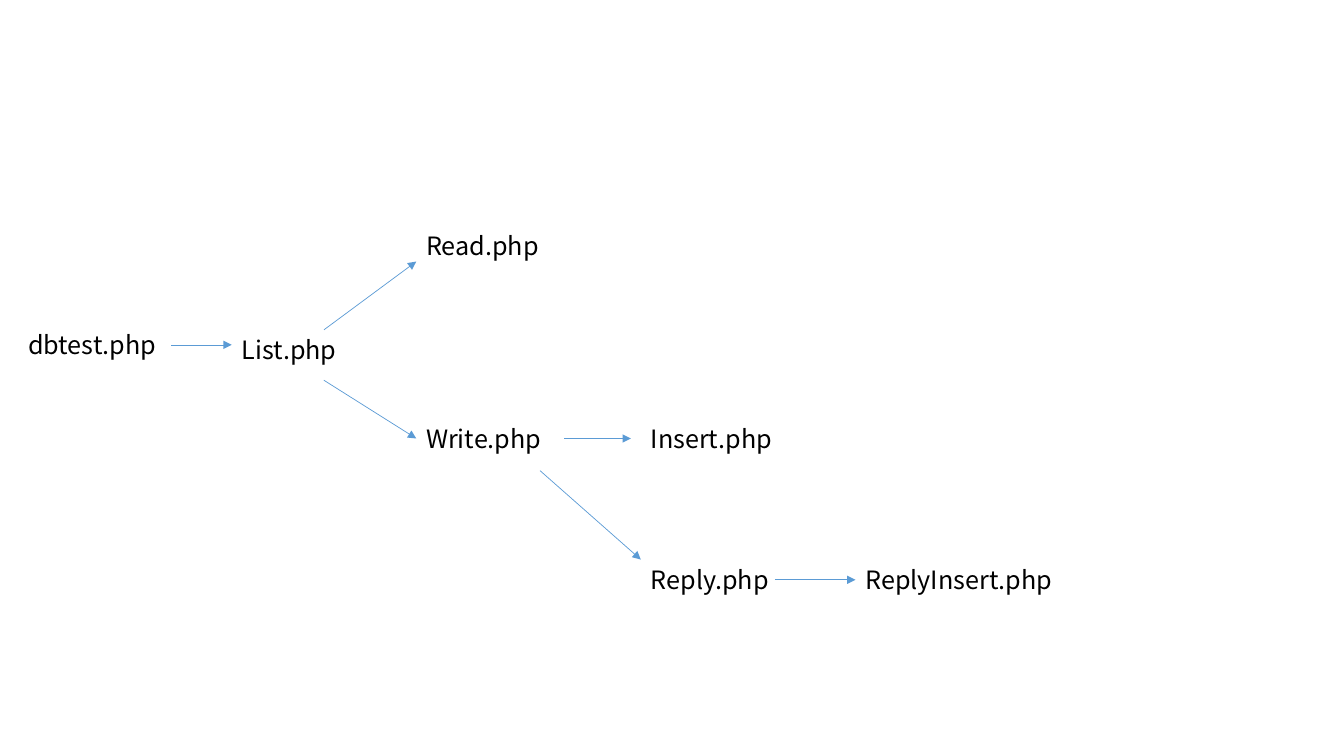
from dataclasses import dataclass

from lxml import etree
from pptx import Presentation
from pptx import util as u
from pptx.dml.color import RGBColor
from pptx.enum import shapes, text
from pptx.oxml import ns

TOP, LEFT = 0, 1


@dataclass(frozen=True)
class Theme:
    """Colours, font and sizes of the page map."""
    font: str = "Noto Sans CJK KR"
    size: float = 18
    ink: str = "000000"
    arrow: str = "5B9BD5"
    arrow_width: float = 0.5


class PageMap:
    """Draws page names and the arrows between them on one slide."""

    def __init__(self, slide, theme):
        """Keep the slide and its theme."""
        self.slide = slide
        self.theme = theme

    def page(self, name, left, top, width=4.65, height=1.02):
        """Place a page name, measured in centimetres."""
        label = self.slide.shapes.add_textbox(
            u.Cm(left), u.Cm(top), u.Cm(width), u.Cm(height))
        frame = label.text_frame
        frame.word_wrap = True
        frame.auto_size = text.MSO_AUTO_SIZE.NONE
        frame.text = name
        font = frame.paragraphs[0].runs[0].font
        font.name = self.theme.font
        font.size = u.Pt(self.theme.size)
        font.color.rgb = RGBColor.from_string(self.theme.ink)
        return label

    def arrow(self, start, end, source=None, target=None):
        """Draw an arrow, joined to a (page, side) pair where given."""
        link = self.slide.shapes.add_connector(
            shapes.MSO_CONNECTOR.STRAIGHT, *map(u.Cm, start + end))
        if source:
            link.begin_connect(*source)
        if target:
            link.end_connect(*target)
        link.line.color.rgb = RGBColor.from_string(self.theme.arrow)
        link.line.width = u.Pt(self.theme.arrow_width)
        outline = link.line._get_or_add_ln()
        etree.SubElement(outline, ns.qn("a:tailEnd"), type="triangle")
        etree.SubElement(link._element.spPr, ns.qn("a:effectLst"))


def main():
    """Build and save the page map."""
    deck = Presentation()
    deck.slide_width, deck.slide_height = u.Cm(33.87), u.Cm(19.05)
    site = PageMap(deck.slides.add_slide(deck.slide_layouts[6]), Theme())

    third_column, fourth_column = 10.49, 16.15
    write_row, reply_row = 10.54, 14.1
    list_page = site.page("List.php", 5.84, 8.31, height=1.8)
    read_page = site.page("Read.php", third_column, 5.69, height=1.8)
    write_page = site.page("Write.php", third_column, write_row)
    site.page("Insert.php", fourth_column, write_row)
    site.page("Reply.php", fourth_column, reply_row)
    reply_insert = site.page("ReplyInsert.php", 21.56, reply_row, width=5.46)
    site.page("dbtest.php", 0.46, 8.18)

    site.arrow((4.32, 8.69), (5.84, 8.69))
    site.arrow((8.16, 8.31), (third_column, 6.59),
               source=(list_page, TOP), target=(read_page, LEFT))
    site.arrow((8.16, 9.58), (third_column, 11.05), target=(write_page, LEFT))
    site.arrow((14.22, 11.05), (15.9, 11.05))
    site.arrow((13.61, 11.86), (fourth_column, reply_row))
    site.arrow((19.53, 14.61), (21.56, 14.61), target=(reply_insert, LEFT))
    deck.save("out.pptx")


if __name__ == "__main__":
    main()
